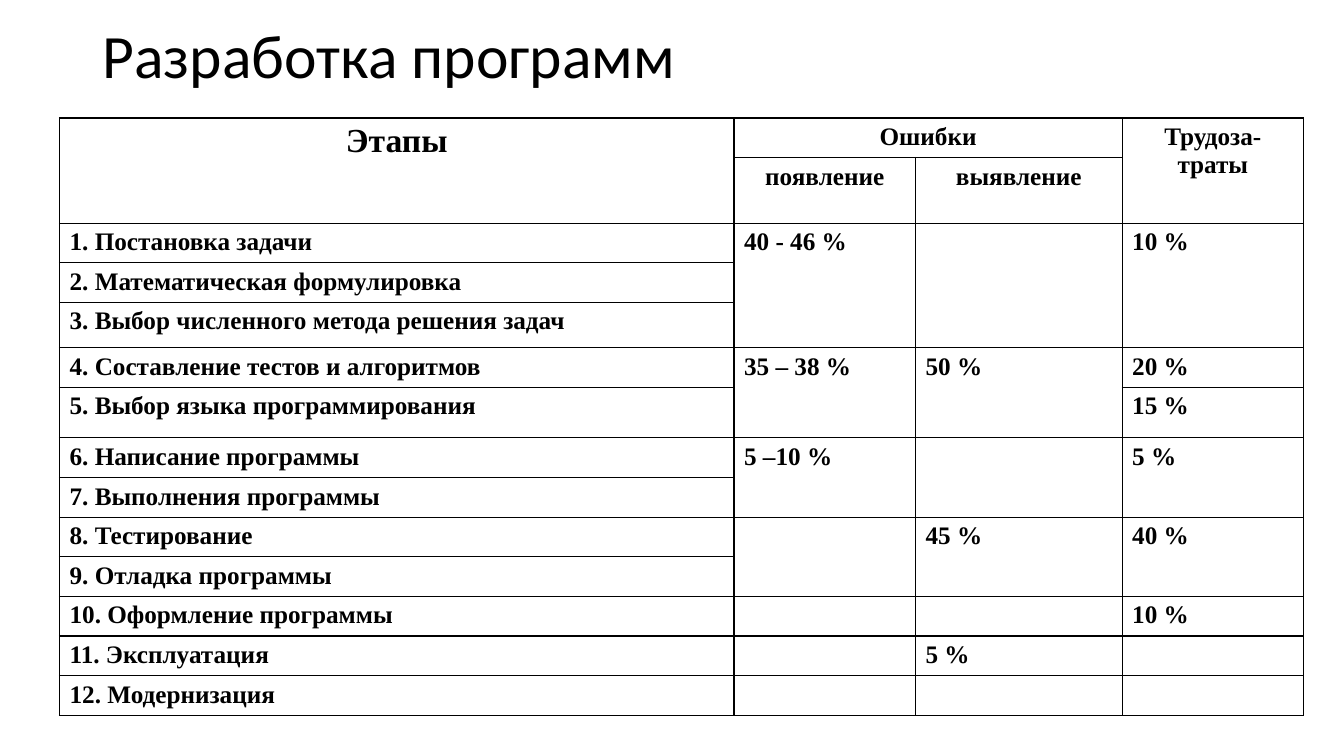
from lxml.etree import SubElement
from pptx import Presentation
from pptx.dml.color import RGBColor
from pptx.enum.text import MSO_ANCHOR as Anchor, PP_ALIGN as Align
from pptx.oxml.ns import qn
from pptx.util import Inches, Pt

COLORS = {"ink": "000000"}
TITLE_FONT, TABLE_FONT = "Calibri", "Times New Roman"
BORDER_WIDTH = Pt(0.96)
HEADER_ROWS = 2
UP, LEFT = "^", "<"  # cell joins the one above / to the left

COLUMN_WIDTHS = [6.69, 1.8, 2.05, 1.8]
TALL_ROWS = {1: 0.65, 4: 0.45, 6: 0.5}  # the other rows share the rest
STAGES = [
    ["Этапы", "Ошибки", LEFT, "Трудоза-траты"],
    [UP, "появление", "выявление", UP],
    ["1. Постановка задачи", "40 - 46 %", "", "10 %"],
    ["2. Математическая формулировка", UP, UP, UP],
    ["3. Выбор численного метода решения задач", UP, UP, UP],
    ["4. Составление тестов и алгоритмов", "35 – 38 %", "50 %", "20 %"],
    ["5. Выбор языка программирования", UP, UP, "15 %"],
    ["6. Написание программы", "5 –10 %", "", "5 %"],
    ["7. Выполнения программы", UP, UP, UP],
    ["8. Тестирование", "", "45 %", "40 %"],
    ["9. Отладка программы", UP, UP, UP],
    ["10. Оформление программы", "", "", "10 %"],
    ["11. Эксплуатация", "", "5 %", ""],
    ["12. Модернизация", "", "", ""],
]


def style_text(para, font_name, size, bold=False):
    for span in para.runs:
        span.font.name = font_name
        span.font.size = Pt(size)
        span.font.bold = bold
        span.font.color.rgb = RGBColor.from_string(COLORS["ink"])


def add_title(page, box, text):
    frame = page.shapes.add_textbox(*map(Inches, box)).text_frame
    frame.word_wrap = True
    frame.vertical_anchor = Anchor.MIDDLE
    frame.text = text
    para = frame.paragraphs[0]
    para.line_spacing = 0.9
    style_text(para, TITLE_FONT, 44)


def draw_borders(cell):
    properties = cell._tc.get_or_add_tcPr()
    for side in ("a:lnL", "a:lnR", "a:lnT", "a:lnB"):
        line = SubElement(properties, qn(side), w=str(int(BORDER_WIDTH)))
        fill = SubElement(line, qn("a:solidFill"))
        SubElement(fill, qn("a:srgbClr"), val=COLORS["ink"])


def fill_cell(cell, text, is_header, size):
    draw_borders(cell)
    cell.fill.background()
    # No bottom margin, so that text never stretches its row
    cell.margin_bottom = 0
    if text in ("", UP, LEFT):
        return
    cell.text = text
    para = cell.text_frame.paragraphs[0]
    para.alignment = Align.CENTER if is_header else Align.LEFT
    style_text(para, TABLE_FONT, size, bold=True)


def merge_cells(table, rows):
    for r, row in enumerate(rows):
        for c, text in enumerate(row):
            if text in (UP, LEFT):
                continue
            bottom, right = r, c
            while bottom + 1 < len(rows) and rows[bottom + 1][c] == UP:
                bottom += 1
            while right + 1 < len(row) and row[right + 1] == LEFT:
                right += 1
            if (bottom, right) != (r, c):
                table.cell(r, c).merge(table.cell(bottom, right))


def add_stage_table(page, box, rows):
    table = page.shapes.add_table(
        len(rows), len(COLUMN_WIDTHS), *map(Inches, box)).table
    table.first_row = table.horz_banding = False
    for column, width in zip(table.columns, COLUMN_WIDTHS):
        column.width = Inches(width)
    plain_height = (box[3] - sum(TALL_ROWS.values())) / (len(rows) - len(TALL_ROWS))
    for r, row in enumerate(rows):
        table.rows[r].height = Inches(TALL_ROWS.get(r, plain_height))
        for c, text in enumerate(row):
            size = 24 if (r, c) == (0, 0) else 18
            fill_cell(table.cell(r, c), text, r < HEADER_ROWS, size)
    merge_cells(table, rows)


def main():
    deck = Presentation()
    deck.slide_width, deck.slide_height = Inches(13.33), Inches(7.5)
    page = deck.slides.add_slide(deck.slide_layouts[6])
    # Heading
    add_title(page, (0.92, 0, 11.5, 1.17), "Разработка программ")
    # Stages with error shares and labour costs
    add_stage_table(page, (0.59, 1.17, 12.34, 5.93), STAGES)
    deck.save("out.pptx")


if __name__ == "__main__":
    main()
